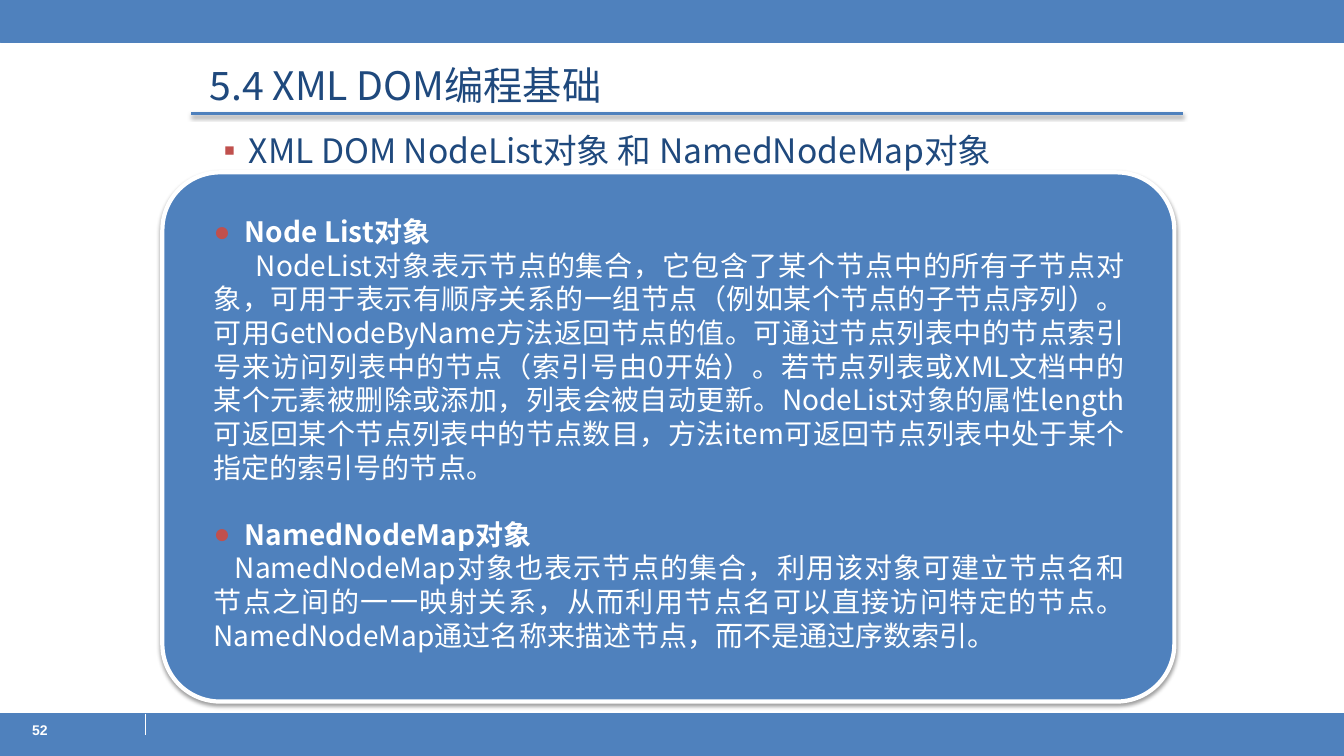
from dataclasses import dataclass

from lxml import etree
from pptx import Presentation
from pptx import util as u
from pptx.dml.color import RGBColor
from pptx.enum import shapes, text
from pptx.oxml import ns

COLOURS = {"blue": "4F81BD", "navy": "1F497D", "red": "C0504D", "white": "FFFFFF"}
CJK_FONT = "Noto Sans CJK SC"
WIDTH, HEIGHT = u.Inches(13.33), u.Inches(7.5)


@dataclass(frozen=True)
class Area:
    """Left, top, width and height in percent of the slide's size."""
    left: float
    top: float
    width: float
    height: float

    def lengths(self) -> tuple[int, int, int, int]:
        return (across(self.left), down(self.top),
                across(self.width), down(self.height))


@dataclass(frozen=True)
class Panel:
    area: Area
    outline: str = "blue"
    weight: float = 0.25
    rounding: float = 0
    shadow: bool = False


@dataclass(frozen=True)
class Rule:
    start: tuple[float, float]
    end: tuple[float, float]
    colour: str
    weight: float
    shadow: bool = False


@dataclass(frozen=True)
class Para:
    """Indents are in inches; pitch and space before are in points."""
    words: str
    size: float
    pitch: float
    colour: str = "white"
    font: str = CJK_FONT
    bold: bool = False
    margin: float = 0
    indent: float = 0
    before: float = 0
    bullet: str = ""
    align: text.PP_ALIGN = text.PP_ALIGN.LEFT


@dataclass(frozen=True)
class Box:
    area: Area
    paras: list[Para]
    inset: bool = True
    anchor: text.MSO_ANCHOR = text.MSO_ANCHOR.TOP


def across(percent: float) -> int:
    return round(WIDTH * percent / 100)


def down(percent: float) -> int:
    return round(HEIGHT * percent / 100)


def colour_of(name: str) -> RGBColor:
    return RGBColor.from_string(COLOURS[name])


def child(parent, tag: str, **attributes: str):
    return etree.SubElement(parent, ns.qn(tag), attributes)


def set_shadow(properties, visible: bool) -> None:
    """Replace the theme's shadow by a soft one below, or by none."""
    for old in properties.findall(ns.qn("a:effectLst")):
        properties.remove(old)
    effects = child(properties, "a:effectLst")
    if visible:
        shadow = child(effects, "a:outerShdw", blurRad=str(u.Pt(3.1)),
                       dist=str(u.Pt(1.6)), dir="5400000", rotWithShape="0")
        black = child(shadow, "a:srgbClr", val="000000")
        child(black, "a:alpha", val="38000")


def draw_panel(page, panel: Panel) -> None:
    kinds = shapes.MSO_SHAPE
    kind = kinds.ROUNDED_RECTANGLE if panel.rounding else kinds.RECTANGLE
    shape = page.shapes.add_shape(kind, *panel.area.lengths())
    if panel.rounding:
        shape.adjustments[0] = panel.rounding
    shape.fill.solid()
    shape.fill.fore_color.rgb = colour_of("blue")
    shape.line.color.rgb = colour_of(panel.outline)
    shape.line.width = u.Pt(panel.weight)
    shape.shadow.inherit = False
    set_shadow(shape._element.spPr, panel.shadow)


def draw_rule(page, rule: Rule) -> None:
    (x1, y1), (x2, y2) = rule.start, rule.end
    line = page.shapes.add_connector(shapes.MSO_CONNECTOR.STRAIGHT,
                                     across(x1), down(y1), across(x2), down(y2))
    line.line.color.rgb = colour_of(rule.colour)
    line.line.width = u.Pt(rule.weight)
    set_shadow(line._element.spPr, rule.shadow)


def fill_paragraph(paragraph, para: Para) -> None:
    paragraph.text = para.words
    paragraph.alignment = para.align
    paragraph.line_spacing = u.Pt(para.pitch)
    paragraph.space_before = u.Pt(para.before)
    font = paragraph.font
    font.name, font.size, font.bold = para.font, u.Pt(para.size), para.bold
    font.color.rgb = colour_of(para.colour)

    properties = paragraph._p.get_or_add_pPr()
    properties.set("marL", str(u.Inches(para.margin)))
    properties.set("indent", str(u.Inches(para.indent)))
    defaults = properties.find(ns.qn("a:defRPr"))
    child(defaults, "a:ea", typeface=para.font)
    if para.bullet:
        tint = child(properties, "a:buClr")
        child(tint, "a:srgbClr", val=COLOURS["red"])
        child(properties, "a:buFont", typeface="Arial")
        child(properties, "a:buChar", char=para.bullet)
        properties.append(defaults)


def draw_box(page, box: Box) -> None:
    frame = page.shapes.add_textbox(*box.area.lengths()).text_frame
    frame.word_wrap = True
    frame.vertical_anchor = box.anchor
    if not box.inset:
        frame.margin_left = frame.margin_right = 0
        frame.margin_top = frame.margin_bottom = 0
    for index, para in enumerate(box.paras):
        fill_paragraph(frame.add_paragraph() if index else frame.paragraphs[0], para)


def heading(words: str, before: float = 0) -> Para:
    return Para(words, 20, 24, bold=True, margin=0.31, indent=-0.31,
                before=before, bullet="●", align=text.PP_ALIGN.JUSTIFY)


def passage(words: str, indent: float) -> Para:
    return Para(words, 20, 24, indent=indent, align=text.PP_ALIGN.JUSTIFY)


PANELS = [
    Panel(Area(0, 0, 100, 5.6)),
    Panel(Area(0, 94.4, 100, 5.6)),
    Panel(Area(12.08, 22.8, 75.3, 70), "white", 3, 0.109, True),
]
RULES = [
    Rule((10.8, 94.4), (10.8, 97.2), "white", 0.75),
    Rule((14.25, 15.07), (88, 15.07), "blue", 2, True),
]
BOXES = [
    Box(Area(1.65, 94.8, 11.03, 4.67),
        [Para("52", 10, 12, font="Arial", bold=True)]),
    Box(Area(15.9, 16.13, 63.77, 7.33),
        [Para("XML DOM NodeList对象 和 NamedNodeMap对象", 24, 31, "navy",
              margin=0.25, indent=-0.25, bullet="▪")]),
    Box(Area(15.9, 28.4, 67.8, 58.4), [
        heading("Node List对象"),
        passage("NodeList对象表示节点的集合，它包含了某个节点中的所有子节点对象，"
                "可用于表示有顺序关系的一组节点（例如某个节点的子节点序列）。"
                "可用GetNodeByName方法返回节点的值。"
                "可通过节点列表中的节点索引号来访问列表中的节点（索引号由0开始）。"
                "若节点列表或XML文档中的某个元素被删除或添加，列表会被自动更新。"
                "NodeList对象的属性length可返回某个节点列表中的节点数目，"
                "方法item可返回节点列表中处于某个指定的索引号的节点。", 0.42),
        heading("NamedNodeMap对象", before=24),
        passage("NamedNodeMap对象也表示节点的集合，"
                "利用该对象可建立节点名和节点之间的一一映射关系，"
                "从而利用节点名可以直接访问特定的节点。 "
                "NamedNodeMap通过名称来描述节点，而不是通过序数索引。", 0.21),
    ], inset=False),
    Box(Area(14.85, 7.73, 67.67, 7.33),
        [Para("5.4 XML DOM编程基础", 28, 34, "navy")],
        anchor=text.MSO_ANCHOR.BOTTOM),
]


def main() -> None:
    deck = Presentation()
    deck.slide_width, deck.slide_height = WIDTH, HEIGHT
    page = deck.slides.add_slide(deck.slide_layouts[6])
    for panel in PANELS:
        draw_panel(page, panel)
    for rule in RULES:
        draw_rule(page, rule)
    for box in BOXES:
        draw_box(page, box)
    deck.save("out.pptx")


if __name__ == "__main__":
    main()
